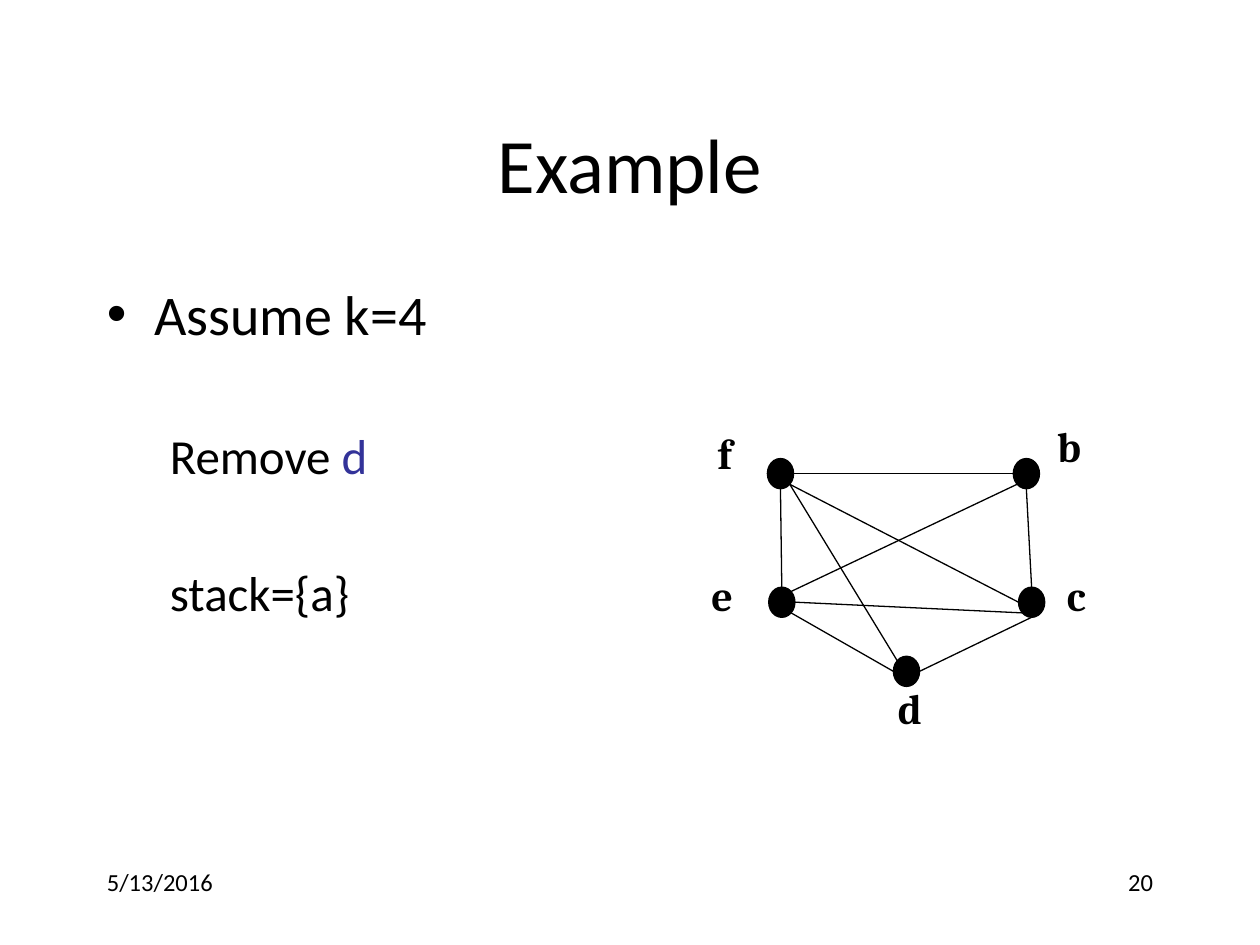
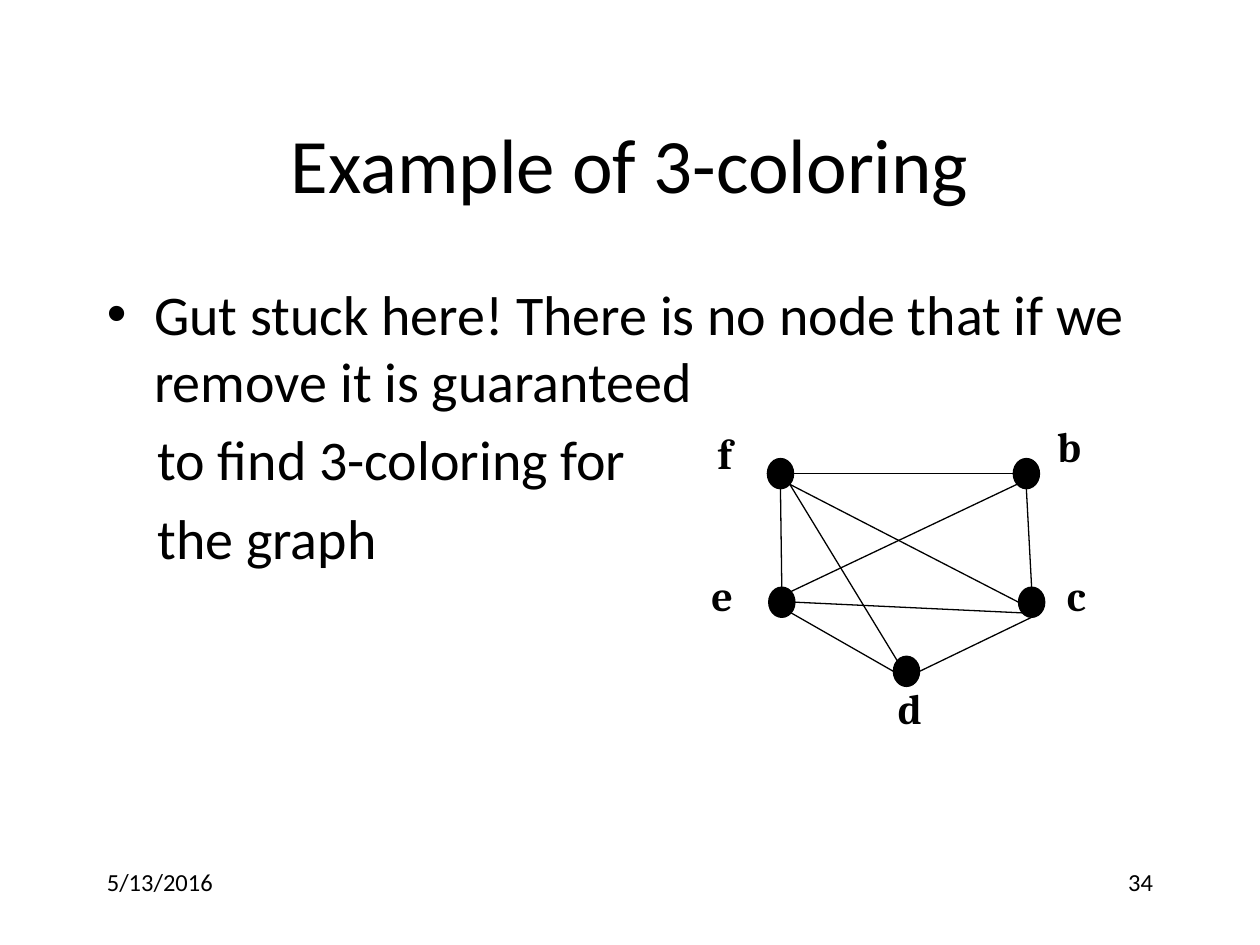
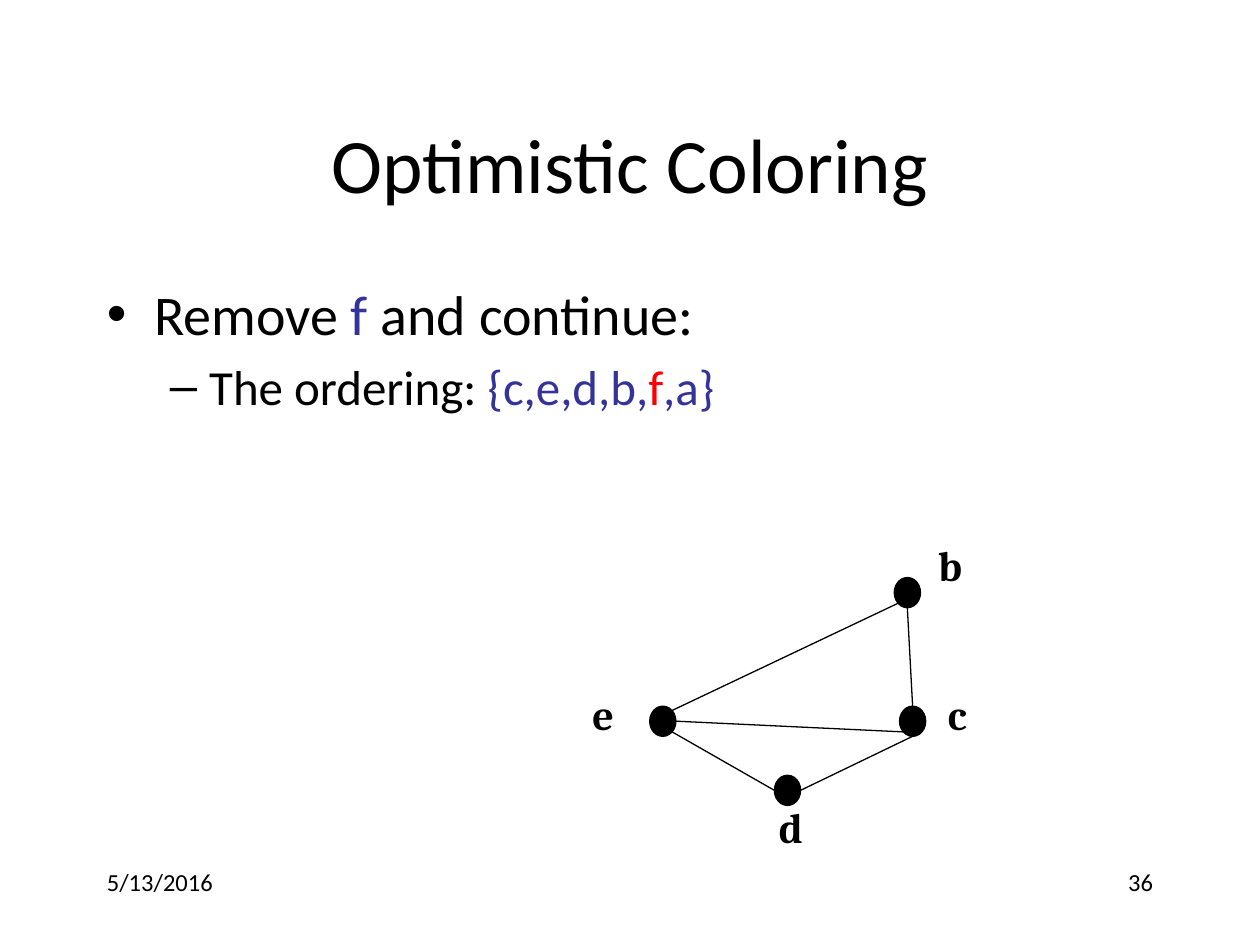
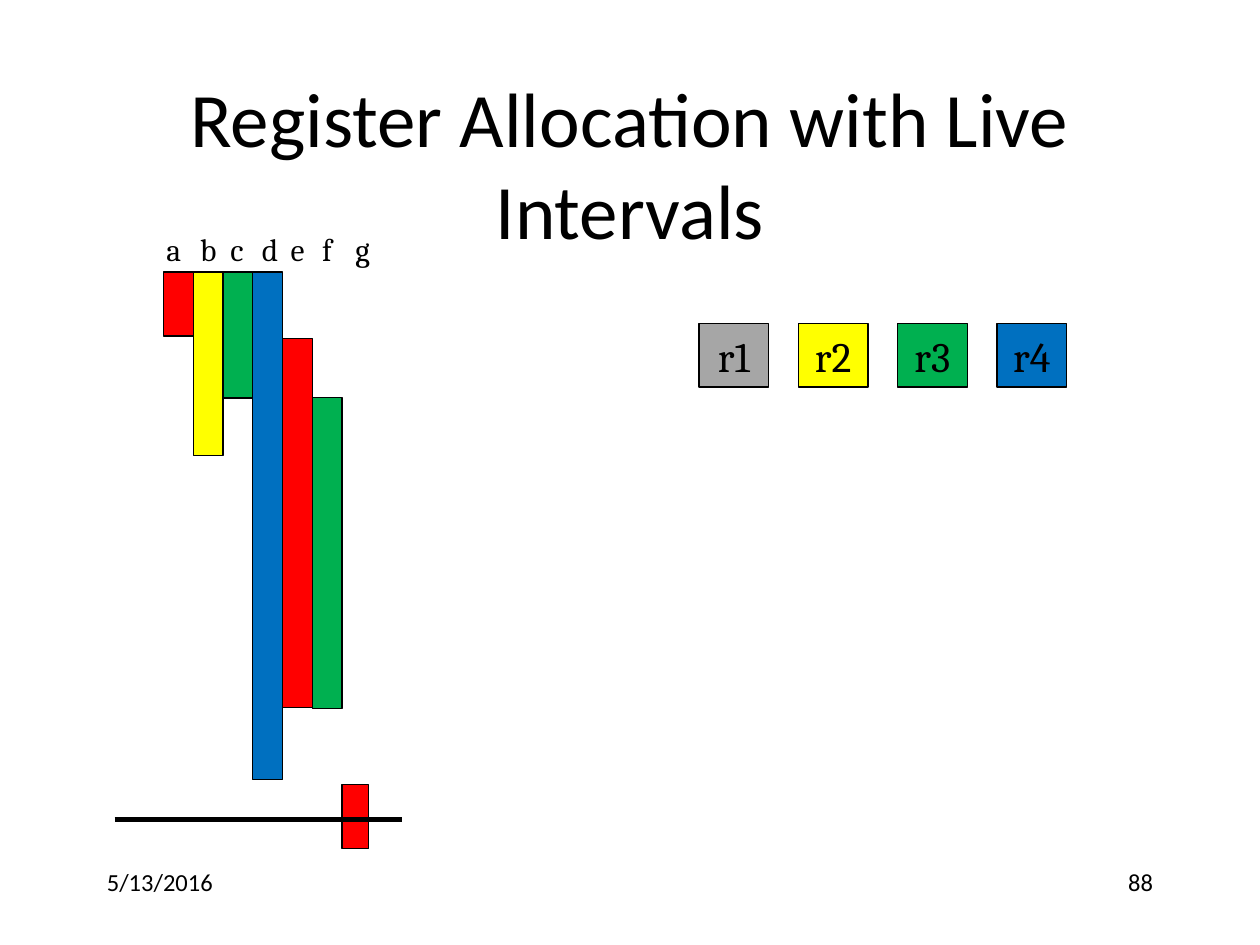
from lxml.etree import SubElement
from pptx import Presentation
from pptx.dml.color import RGBColor
from pptx.enum.shapes import MSO_CONNECTOR, MSO_SHAPE
from pptx.enum.text import MSO_ANCHOR, PP_ALIGN
from pptx.oxml.ns import qn
from pptx.util import Pt

COLORS = {
    "black": "000000", "blue": "333399", "red": "FF0000", "yellow": "FFFF00",
    "green": "00B050", "azure": "0070C0", "gray": "A6A6A6",
}
SANS, SERIF = "Calibri", "Cambria"
DATE = "5/13/2016"

# level, left margin, first-line indent, bullet, size
STYLES = {
    "bullet": (0, 27, -27, "•", 32),
    "plain": (0, 29, 0, None, 32),
    "dash": (1, 58.5, -22.5, "–", 28),
    "sub": (1, 36, 0, None, 28),
}

NODE_W, NODE_H = 15, 17.25
# node left and top, label left, top and width
NODES = {
    "b": (579, 262, 597, 237, 62),
    "c": (582, 335.5, 602.5, 322, 73),
    "d": (510.5, 375, 506, 386.5, 73),
    "f": (438.5, 262, 403, 241, 66),
    "e": (439.25, 335.5, 399.5, 322, 60.5),
}
EDGES = [
    ("e", "n", "f", "s"), ("d", "nw", "f", "se"), ("d", "w", "e", "se"),
    ("b", "w", "f", "e"), ("c", "w", "f", "se"), ("b", "s", "c", "n"),
    ("c", "sw", "e", "e"), ("c", "s", "d", "e"), ("b", "sw", "e", "ne"),
]
DIAG = 0.71
SITES = {
    "n": (0, -1), "s": (0, 1), "w": (-1, 0), "e": (1, 0),
    "nw": (-DIAG, -DIAG), "ne": (DIAG, -DIAG),
    "sw": (-DIAG, DIAG), "se": (DIAG, DIAG),
}

# name, label left, bar top, bar height, bar width, color
INTERVALS = [
    ("a", 88, 155.5, 36.5, 17, "red"),
    ("b", 107.25, 155.5, 105, 17, "yellow"),
    ("c", 124.5, 155.5, 72, 17, "green"),
    ("d", 142.5, 155.5, 290, 17, "azure"),
    ("e", 159, 193.5, 211, 17, "red"),
    ("f", 177, 227, 178, 17, "green"),
    ("g", 196, 448.5, 36.5, 15, "red"),
]
REGISTERS = ["gray", "yellow", "green", "azure"]


def rgb(name):
    return RGBColor.from_string(COLORS[name])


def node_site(name, side):
    left, top = NODES[name][:2]
    dx, dy = SITES[side]
    return left + NODE_W / 2 * (1 + dx), top + NODE_H / 2 * (1 + dy)


class Deck:
    """Hold the shared style and the slide being drawn."""

    def __init__(self):
        self.prs = Presentation()
        self.prs.slide_width, self.prs.slide_height = Pt(720), Pt(540)

    def slide(self, title, number):
        self.s = self.prs.slides.add_slide(self.prs.slide_layouts[6])
        sp = self.text(title, (54, 48, 612, 90), 44, align=PP_ALIGN.CENTER)
        sp.text_frame.vertical_anchor = MSO_ANCHOR.MIDDLE
        self.text(DATE, (54, 492, 150, 36), 14)
        self.text(str(number), (516, 492, 150, 36), 14, align=PP_ALIGN.RIGHT)

    def style(self, r, size, font=SANS, color="black", bold=False):
        r.font.size, r.font.name, r.font.bold = Pt(size), font, bold
        r.font.color.rgb = rgb(color)

    def text(self, text, box, size, font=SANS, bold=False,
             align=PP_ALIGN.LEFT, parent=None):
        sp = (parent or self.s).shapes.add_textbox(*map(Pt, box))
        tf = sp.text_frame
        tf.word_wrap = True
        tf.text = text
        p = tf.paragraphs[0]
        p.alignment = align
        self.style(p.runs[0], size, font, bold=bold)
        return sp

    def body(self, *items):
        tf = self.s.shapes.add_textbox(*map(Pt, (54, 156, 612, 324))).text_frame
        tf.word_wrap = True
        for i, (style, runs, *gap) in enumerate(items):
            level, margin, indent, bullet, size = STYLES[style]
            p = tf.add_paragraph() if i else tf.paragraphs[0]
            p.level = level
            if i:
                p.space_before = Pt(gap[0] if gap else size * 0.2)
            pPr = p._p.get_or_add_pPr()
            pPr.set("marL", str(Pt(margin)))
            pPr.set("indent", str(Pt(indent)))
            if bullet:
                SubElement(pPr, qn("a:buFont")).set("typeface", "Arial")
                SubElement(pPr, qn("a:buChar")).set("char", bullet)
            for text, color in runs:
                r = p.add_run()
                r.text = text
                self.style(r, size, color=color)

    def shape(self, kind, box, color, text=None, parent=None):
        sp = (parent or self.s).shapes.add_shape(kind, *map(Pt, box))
        sp.shadow.inherit = False
        sp.fill.solid()
        sp.fill.fore_color.rgb = rgb(color)
        sp.line.color.rgb = rgb("black")
        sp.line.width = Pt(0.75)
        if text:
            tf = sp.text_frame
            tf.word_wrap = False
            tf.text = text
            p = tf.paragraphs[0]
            p.alignment = PP_ALIGN.CENTER
            self.style(p.runs[0], 24, SERIF)

    def line(self, start, end, width=0.75):
        cx = self.s.shapes.add_connector(
            MSO_CONNECTOR.STRAIGHT, *map(Pt, (*start, *end)))
        cx.line.color.rgb = rgb("black")
        cx.line.width = Pt(width)
        SubElement(cx._element.spPr, qn("a:effectLst"))

    def graph(self, names="bcdfe", dx=0, dy=0):
        for name in names:
            left, top, label_left, label_top, label_w = NODES[name]
            group = self.s.shapes.add_group_shape()
            self.shape(MSO_SHAPE.OVAL, (left + dx, top + dy, NODE_W, NODE_H),
                       "black", parent=group)
            self.text(name, (label_left + dx, label_top + dy, label_w, 36),
                      24, SERIF, bold=True, parent=group)
        for a, side_a, b, side_b in EDGES:
            if a in names and b in names:
                self.line(*((x + dx, y + dy) for x, y in
                            (node_site(a, side_a), node_site(b, side_b))))

    def intervals(self):
        for name, left, *_ in INTERVALS:
            self.text(name, (left, 128, 34, 29), 18, SERIF)
        for i, (_, _, top, height, width, color) in enumerate(INTERVALS):
            self.shape(MSO_SHAPE.RECTANGLE,
                       (93.5 + 17 * i, top, width, height), color)

    def registers(self):
        for i, color in enumerate(REGISTERS):
            self.shape(MSO_SHAPE.RECTANGLE,
                       (399.5 + 56.75 * i, 185, 39.75, 36.25), color, f"r{i + 1}")


def main():
    deck = Deck()

    deck.slide("Example", 20)
    deck.body(
        ("bullet", [("Assume k=4", "black")]),
        ("sub", [("Remove ", "black"), ("d", "blue")], 45),
        ("sub", [("stack={a}", "black")], 45),
    )
    deck.graph()

    deck.slide("Example of 3-coloring", 34)
    deck.body(
        ("bullet", [("Gut stuck here! There is no node that if we "
                     "remove it is guaranteed", "black")]),
        ("plain", [("to find 3-coloring for", "black")]),
        ("plain", [("the graph", "black")]),
    )
    deck.graph()

    deck.slide("Optimistic Coloring", 36)
    deck.body(
        ("bullet", [("Remove ", "black"), ("f", "blue"),
                    (" and continue:", "black")]),
        ("dash", [("The ordering: ", "black"), ("{c,e,d,b,", "blue"),
                  ("f", "red"), (",a}", "blue")]),
    )
    deck.graph("bcde", -68, 68)

    deck.slide("Register Allocation with Live Intervals", 88)
    deck.intervals()
    deck.registers()
    deck.line((65.5, 468.5), (229.5, 468.5), 3)

    deck.prs.save("out.pptx")


if __name__ == "__main__":
    main()
